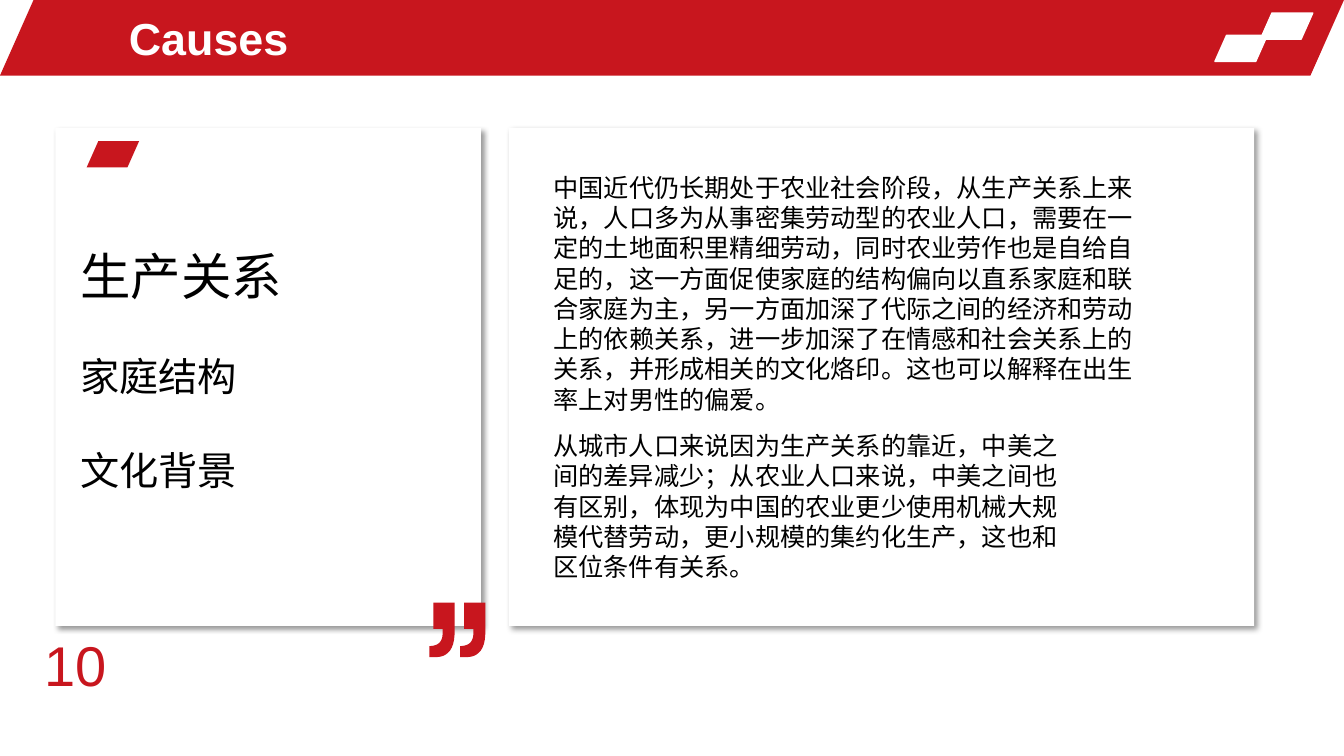
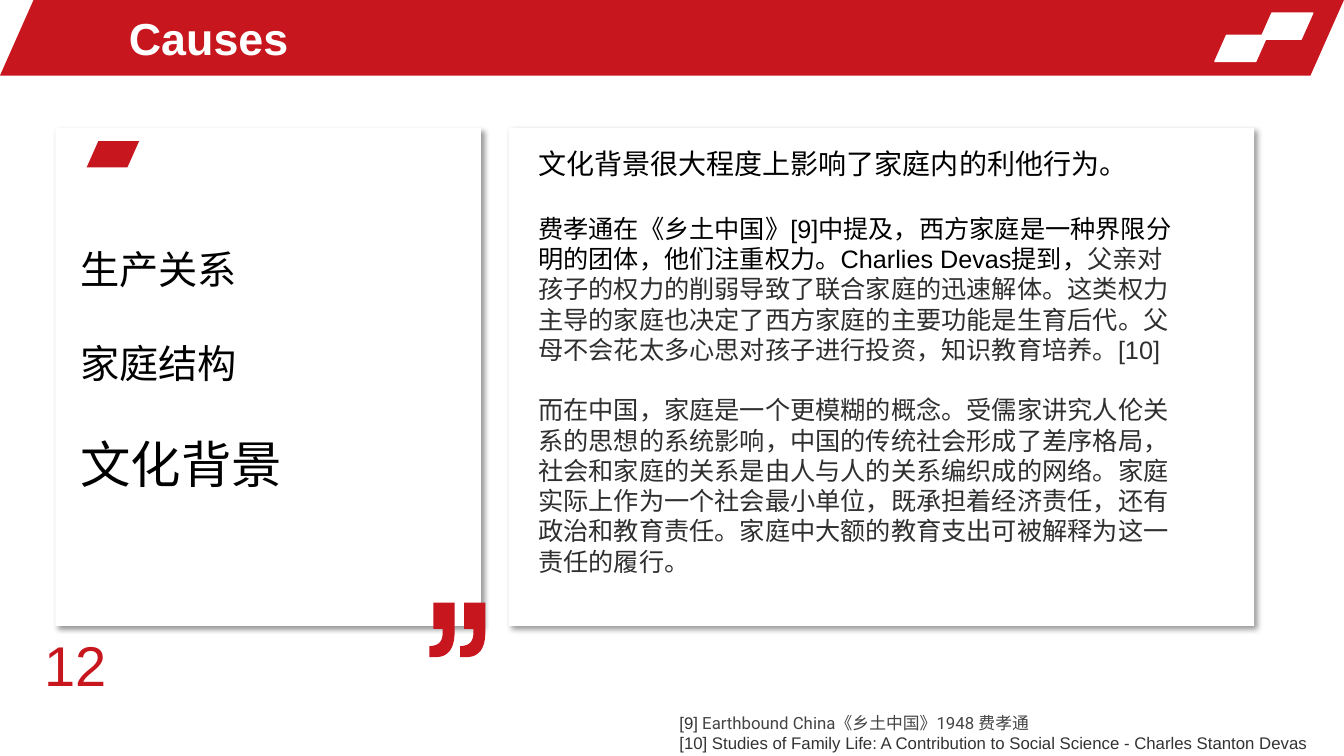
from lxml import etree
from pptx import Presentation
from pptx.dml.color import RGBColor
from pptx.enum.shapes import MSO_SHAPE as Preset
from pptx.enum.text import MSO_ANCHOR as Anchor
from pptx.oxml import parse_xml
from pptx.oxml.ns import qn
from pptx.util import Inches, Pt

RED = RGBColor(0xC8, 0x16, 0x1E)
WHITE = RGBColor(0xFF, 0xFF, 0xFF)
BLACK = RGBColor(0x00, 0x00, 0x00)
DARK = RGBColor(0x2F, 0x2F, 0x2F)
NOTE = RGBColor(0x33, 0x33, 0x33)
NOTE_SOFT = RGBColor(0x44, 0x44, 0x44)

WIDTH, HEIGHT = 13.33, 7.5
LEFT_CARD = (0.55, 1.27, 4.22, 4.94)
RIGHT_CARD = (5.05, 1.27, 7.39, 4.94)
TOPICS = ("生产关系", "家庭结构", "文化背景")
A_NS = "http://schemas.openxmlformats.org/drawingml/2006/main"
CARD_SHADOW = (
    f'<a:effectLst xmlns:a="{A_NS}">'
    '<a:outerShdw blurRad="50800" dist="38100" dir="2700000" algn="tl" rotWithShape="0">'
    '<a:srgbClr val="000000"><a:alpha val="40000"/></a:srgbClr>'
    '</a:outerShdw></a:effectLst>'
)


def add_text(slide, box, paras, size=18, color=BLACK, font="Arial", bold=False,
             anchor=Anchor.TOP):
    """Each paragraph is (space before, runs); a run is (text, overrides)."""
    tf = slide.shapes.add_textbox(*map(Inches, box)).text_frame
    tf.word_wrap = True
    tf.vertical_anchor = anchor
    for i, (gap, runs) in enumerate(paras):
        p = tf.paragraphs[0] if i == 0 else tf.add_paragraph()
        if gap:
            p.space_before = Pt(gap)
        for text, fmt in runs:
            r = p.add_run()
            r.text = text
            r.font.size = Pt(fmt.get("size", size))
            r.font.name = fmt.get("font", font)
            r.font.bold = bold
            r.font.color.rgb = fmt.get("color", color)


def plain(text):
    return [(0, [(text, {})])]


def add_block(slide, preset, box, fill):
    sp = slide.shapes.add_shape(preset, *map(Inches, box))
    sp.shadow.inherit = False
    sp.fill.solid()
    sp.fill.fore_color.rgb = fill
    sp.line.fill.background()
    if preset == Preset.PARALLELOGRAM:
        sp.adjustments[0] = 0.444
    return sp


def add_card(slide, box):
    sp = add_block(slide, Preset.RECTANGLE, box, WHITE)
    pr = sp._element.spPr
    pr.remove(pr.find(qn("a:effectLst")))
    pr.append(parse_xml(CARD_SHADOW))


def curve(start, c1, c2, end, steps=10):
    """Points along a cubic curve, without its start."""
    points = []
    for i in range(1, steps + 1):
        t = i / steps
        u = 1 - t
        points.append(tuple(
            u**3 * a + 3 * u * u * t * b + 3 * u * t * t * c + t**3 * d
            for a, b, c, d in zip(start, c1, c2, end)))
    return points


def add_quote(slide, left, top):
    # One mark in thousandths of an inch, drawn twice
    mark = [(250, 0), (250, 280),
            *curve((250, 280), (250, 450), (190, 540), (60, 540)),
            (0, 540), (0, 430),
            *curve((0, 430), (80, 430), (130, 390), (130, 310)),
            (130, 260), (40, 260), (40, 0)]
    fb = slide.shapes.build_freeform(*mark[0], scale=Inches(1) / 1000)
    fb.add_line_segments(mark[1:], close=True)
    second = [(x + 305, y) for x, y in mark]
    fb.move_to(*second[0])
    fb.add_line_segments(second[1:], close=True)
    sp = fb.convert_to_shape(Inches(left), Inches(top))
    sp.shadow.inherit = False
    sp.fill.solid()
    sp.fill.fore_color.rgb = RED
    sp.line.fill.background()


def add_header(slide, title):
    add_block(slide, Preset.PARALLELOGRAM, (0, 0, WIDTH, 0.75), RED)
    for x, y in ((12.5, 0.13), (12.05, 0.35)):
        sp = add_block(slide, Preset.PARALLELOGRAM, (x, y, 0.52, 0.26), WHITE)
        sp.line.color.rgb = WHITE
        sp.line.width = Pt(1)
    add_text(slide, (1.18, 0.05, 7.74, 0.65), plain(title), size=32, color=WHITE,
             bold=True, anchor=Anchor.MIDDLE)


def add_topics(slide, box, current):
    x, y, w, h = box
    add_card(slide, box)
    add_block(slide, Preset.PARALLELOGRAM, (x + 0.31, y + 0.13, 0.52, 0.26), RED)
    add_quote(slide, x + w - 0.51, y + h - 0.23)
    paras = [(33.5 if i else 0, [(topic, {"size": 36 if topic == current else 28})])
             for i, topic in enumerate(TOPICS)]
    add_text(slide, (x + 0.15, y + 1.11, w + 0.32, 2.59), paras)


def add_body(slide, box, texts):
    """Each text is (offset x, offset y, width, height, paragraphs)."""
    x, y = box[:2]
    add_card(slide, box)
    for dx, dy, w, h, paras in texts:
        add_text(slide, (x + dx, y + dy, w, h), paras)


def cause_slide(prs, number, current, texts, notes=None):
    slide = prs.slides.add_slide(prs.slide_layouts[6])
    add_header(slide, "Causes")
    add_topics(slide, LEFT_CARD, current)
    add_body(slide, RIGHT_CARD, texts)
    # Page number and references
    add_text(slide, (0.34, 6.21, 0.84, 0.77), plain(number), size=40, color=RED)
    if notes:
        add_text(slide, (6.64, 7.02, 6.67, HEIGHT - 7.02), notes, size=12, color=NOTE)


def main():
    prs = Presentation()
    prs.slide_width, prs.slide_height = Inches(WIDTH), Inches(HEIGHT)

    # Relations of production
    cause_slide(prs, "10", TOPICS[0], [
        (0.34, 0.39, 6.11, 2.52, plain(
            "中国近代仍长期处于农业社会阶段，从生产关系上来说，人口多为从事密集劳动型的农业人口，"
            "需要在一定的土地面积里精细劳动，同时农业劳作也是自给自足的，这一方面促使家庭的结构偏向"
            "以直系家庭和联合家庭为主，另一方面加深了代际之间的经济和劳动上的依赖关系，进一步加深了"
            "在情感和社会关系上的关系，并形成相关的文化烙印。这也可以解释在出生率上对男性的偏爱。")),
        (0.34, 2.95, 5.4, 1.62, plain(
            "从城市人口来说因为生产关系的靠近，中美之间的差异减少；从农业人口来说，中美之间也有区别，"
            "体现为中国的农业更少使用机械大规模代替劳动，更小规模的集约化生产，这也和区位条件有关系。")),
    ])

    # Cultural background
    culture = [
        (0, [("文化背景很大程度上影响了家庭内的利他行为。", {"size": 20})]),
        (24, [("费孝通在《乡土中国》[9]中提及，西方家庭是一种界限分明的团体，他们注重权力。"
               "Charlies Devas提到，", {}),
              ("父亲对孩子的权力的削弱导致了联合家庭的迅速解体。这类权力主导的家庭也决定了西方家庭的"
               "主要功能是生育后代。父母不会花太多心思对孩子进行投资，知识教育培养。[10]",
               {"color": DARK})]),
        (21.6, [("而在中国，家庭是一个更模糊的概念。受儒家讲究人伦关系的思想的系统影响，中国的传统社会"
                 "形成了差序格局，社会和家庭的关系是由人与人的关系编织成的网络。家庭实际上作为一个社会"
                 "最小单位，既承担着经济责任，还有政治和教育责任。家庭中大额的教育支出可被解释为这一责任"
                 "的履行。", {"color": DARK})]),
    ]
    notes = [
        (0, [("[9]", {}),
             (" Earthbound China《乡土中国》1948 费孝通",
              {"font": "Roboto", "color": NOTE_SOFT})]),
        (0, [("[10] Studies of Family Life: A Contribution to Social Science"
              " - Charles Stanton Devas", {})]),
    ]
    cause_slide(prs, "12", TOPICS[2], [(0.19, 0.13, 6.55, 4.41, culture)], notes)

    prs.save("out.pptx")


if __name__ == "__main__":
    main()
